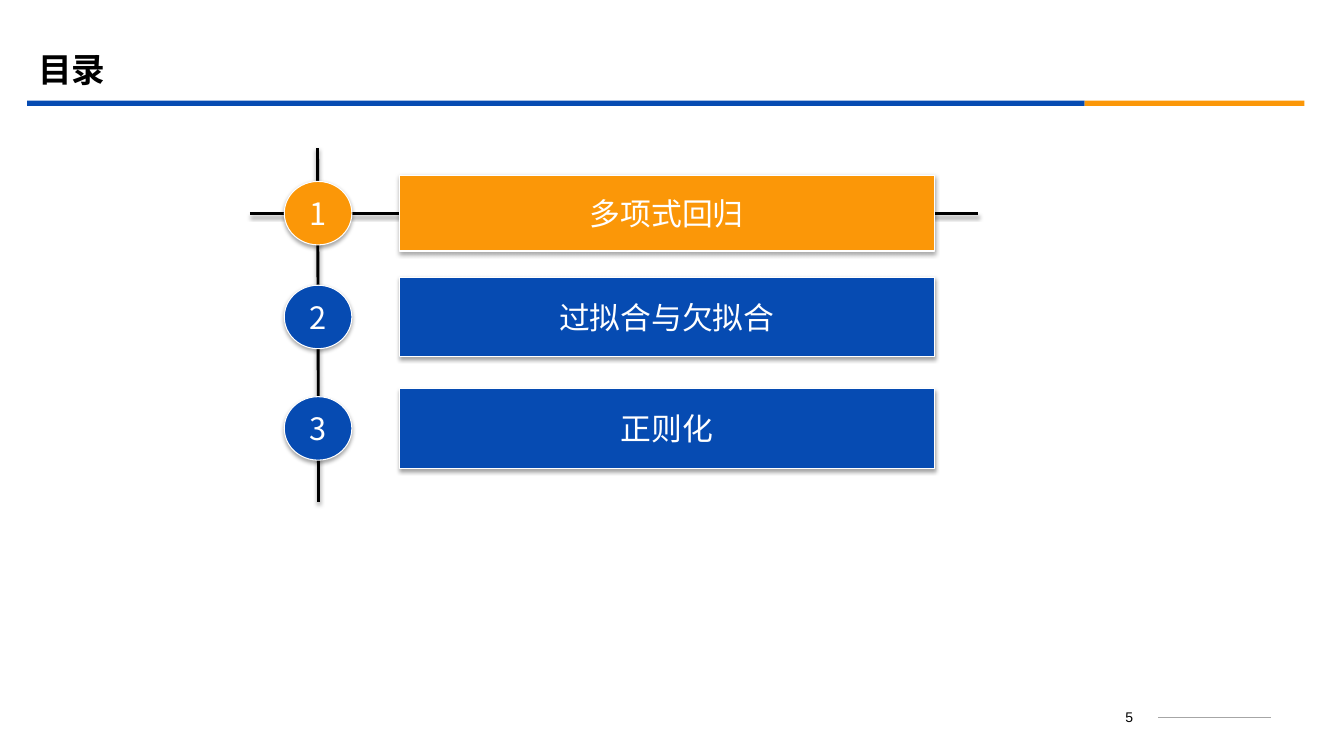
import pptx
import pptx.dml.color
import pptx.enum.shapes
import pptx.enum.text
import pptx.oxml
import pptx.oxml.ns
import pptx.util

COLORS = {"blue": "064BB2", "orange": "FB9708", "black": "000000", "white": "FFFFFF", "gray": "A6A6A6"}
RGB = {name: pptx.dml.color.RGBColor.from_string(value) for name, value in COLORS.items()}
MSO_SHAPE = pptx.enum.shapes.MSO_SHAPE
PP_ALIGN = pptx.enum.text.PP_ALIGN
CJK_FONT = "Noto Sans CJK SC"

presentation = pptx.Presentation()
presentation.slide_width = pptx.util.Inches(13.33)
presentation.slide_height = pptx.util.Inches(7.5)
column = presentation.slide_width / 100
row = presentation.slide_height / 100
slide = presentation.slides.add_slide(presentation.slide_layouts[6])


def set_effects(shape, opacity=0):
    shadow = (
        '<a:outerShdw blurRad="39370" dist="22000" dir="5400000" rotWithShape="0">'
        f'<a:srgbClr val="{COLORS["black"]}"><a:alpha val="{opacity * 1000}"/></a:srgbClr></a:outerShdw>'
    ) if opacity else ""
    effects = f'<a:effectLst {pptx.oxml.ns.nsdecls("a")}>{shadow}</a:effectLst>'
    shape._element.spPr.append(pptx.oxml.parse_xml(effects))


def write_text(shape, text, size, font, color, align, bold=False):
    frame = shape.text_frame
    frame.vertical_anchor = pptx.enum.text.MSO_ANCHOR.MIDDLE
    paragraph = frame.paragraphs[0]
    paragraph.alignment = align
    run = paragraph.add_run()
    run.text = text
    run.font.size = pptx.util.Pt(size)
    run.font.name = font
    run.font.bold = bold
    run.font.color.rgb = RGB[color]
    east_asian = pptx.oxml.parse_xml(f'<a:ea {pptx.oxml.ns.nsdecls("a")} typeface="{CJK_FONT}"/>')
    run.font._element.append(east_asian)


for left, width, color in [(2.03, 78.68, "blue"), (80.71, 16.35, "orange")]:
    bar = slide.shapes.add_shape(
        MSO_SHAPE.RECTANGLE, int(left * column), int(13.33 * row), int(width * column), int(0.67 * row))
    bar.shadow.inherit = False
    bar.fill.solid()
    bar.fill.fore_color.rgb = RGB[color]
    bar.line.fill.background()

lines = [
    (86.18, 94.93, 94.58, 94.93, "gray", 0.75, 0),
    (23.63, 19.6, 23.7, 66.4, "black", 2, 38),
    (18.6, 28.27, 72.75, 28.27, "black", 2, 38),
]
for start_x, start_y, end_x, end_y, color, weight, opacity in lines:
    line = slide.shapes.add_connector(
        pptx.enum.shapes.MSO_CONNECTOR.STRAIGHT,
        int(start_x * column), int(start_y * row), int(end_x * column), int(end_y * row))
    line.line.color.rgb = RGB[color]
    line.line.width = pptx.util.Pt(weight)
    set_effects(line, opacity)

texts = [
    ("目录", 2.1, 5.2, 90, 7.73, 24, "Montserrat", PP_ALIGN.LEFT, True),
    ("5", 81.7, 93.2, 4.65, 3.33, 10, "Arial", PP_ALIGN.CENTER, False),
]
for text, left, top, width, height, size, font, align, bold in texts:
    box = slide.shapes.add_textbox(int(left * column), int(top * row), int(width * column), int(height * row))
    box.text_frame.word_wrap = True
    write_text(box, text, size, font, "black", align, bold)

chapters = [
    ("多项式回归", 28.2, 10, "orange"),
    ("过拟合与欠拟合", 41.93, 10.53, "blue"),
    ("正则化", 56.67, 10.53, "blue"),
]
for number, (title, middle, title_height, color) in enumerate(chapters, 1):
    parts = [
        (MSO_SHAPE.OVAL, str(number), 21.15, 5.03, 8.4),
        (MSO_SHAPE.ACTION_BUTTON_CUSTOM, title, 29.7, 39.83, title_height),
    ]
    for kind, text, left, width, height in parts:
        shape = slide.shapes.add_shape(
            kind, int(left * column), int((middle - height / 2) * row), int(width * column), int(height * row))
        shape.fill.solid()
        shape.fill.fore_color.rgb = RGB[color]
        shape.line.color.rgb = RGB["white"]
        shape.line.width = pptx.util.Pt(0.75)
        set_effects(shape, 35)
        shape.text_frame.word_wrap = False
        write_text(shape, text, 22, CJK_FONT, "white", PP_ALIGN.CENTER)

presentation.save("out.pptx")
